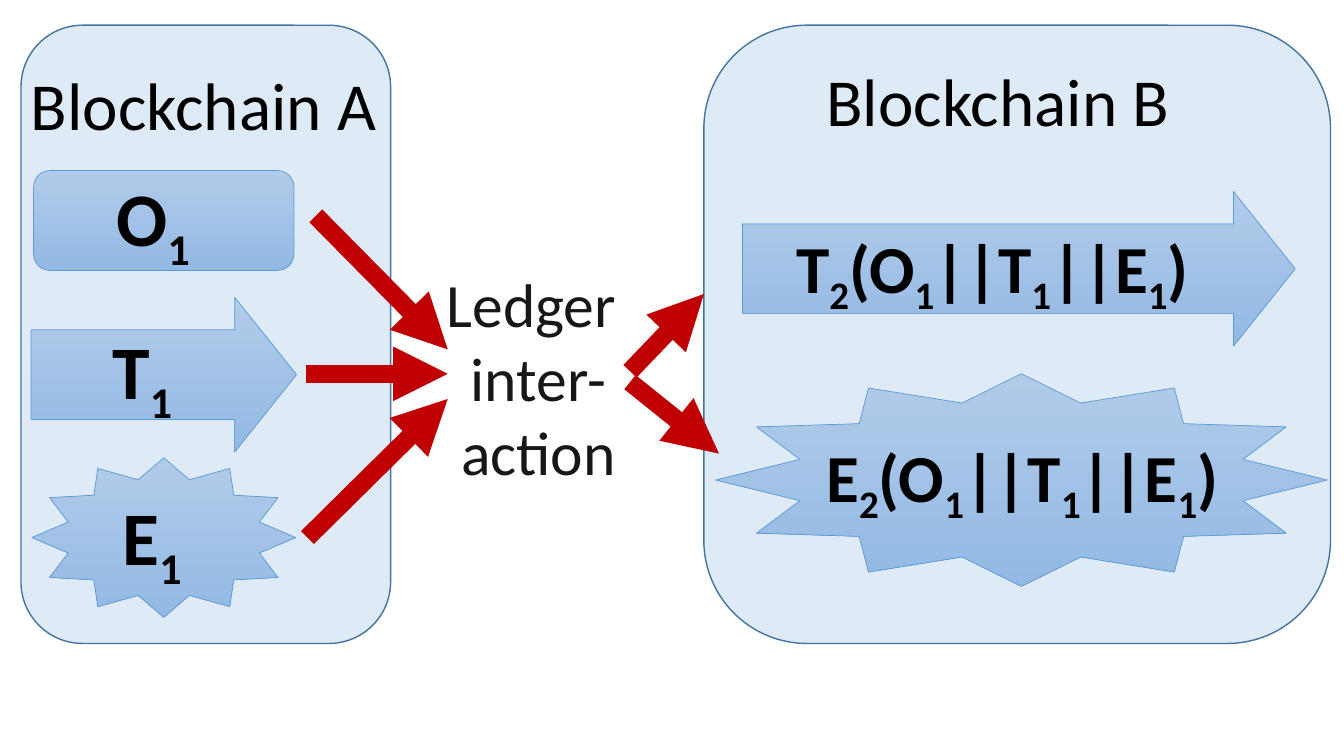
from pptx import Presentation
from pptx import util as u
from pptx.dml.color import RGBColor
from pptx.enum import shapes, text
from pptx.oxml import ns
from lxml import etree

HUES = {"panel": "DEEBF7", "edge": "43739E", "top": "B1CBE9", "base": "93B9E4",
        "rim": "5B9BD5", "flow": "C00000", "ink": "000000", "soft": "181717"}
COLS, ROWS = 160, 90
KIND = shapes.MSO_SHAPE


def hue(name):
    """Return a named colour."""
    return RGBColor.from_string(HUES[name])


class Board:
    """Draws styled elements on one slide, placed in grid columns and rows."""

    def __init__(self, deck):
        """Add a blank slide and size the grid."""
        self.slide = deck.slides.add_slide(deck.slide_layouts[6])
        self.col = deck.slide_width / COLS
        self.row = deck.slide_height / ROWS
        self.font = "Calibri"

    def place(self, *cells):
        """Turn alternating columns and rows into lengths."""
        return [round(c * (self.row if i % 2 else self.col))
                for i, c in enumerate(cells)]

    def shape(self, kind, cells, line, width):
        """Add an outlined shape without a shadow."""
        item = self.slide.shapes.add_shape(kind, *self.place(*cells))
        item.shadow.inherit = False
        item.line.color.rgb = hue(line)
        item.line.width = u.Pt(width)
        return item

    def panel(self, *cells):
        """Add a flat rounded panel."""
        item = self.shape(KIND.ROUNDED_RECTANGLE, cells, "edge", 1)
        item.fill.solid()
        item.fill.fore_color.rgb = hue("panel")

    def block(self, kind, *cells):
        """Add a shape with a vertical gradient."""
        item = self.shape(kind, cells, "rim", 0.5)
        item.fill.gradient()
        item.fill.gradient_angle = 270
        for stop, name in zip(item.fill.gradient_stops, ("top", "base")):
            stop.color.rgb = hue(name)
        if kind == KIND.RIGHT_ARROW:
            item.adjustments[0], item.adjustments[1] = 0.58, 0.4

    def box(self, cells):
        """Add a wrapping text box and return its paragraph."""
        frame = self.slide.shapes.add_textbox(*self.place(*cells)).text_frame
        frame.word_wrap = True
        return frame.paragraphs[0]

    def run(self, para, words, size, color="ink", bold=False):
        """Add one styled run."""
        run = para.add_run()
        run.text = words
        run.font.name, run.font.size = self.font, u.Pt(size)
        run.font.color.rgb, run.font.bold = hue(color), bold
        return run

    def label(self, words, *cells):
        """Add a panel heading."""
        self.run(self.box(cells), words, 48)

    def note(self, lines, *cells):
        """Add centred text with line breaks."""
        para = self.box(cells)
        para.alignment = text.PP_ALIGN.CENTER
        for i, words in enumerate(lines):
            if i:
                para.add_line_break()
            self.run(para, words, 44, "soft")

    def term(self, parts, size, *cells):
        """Add a bold term whose every second part is a subscript."""
        para = self.box(cells)
        for i, words in enumerate(parts):
            run = self.run(para, words, size, bold=True)
            if i % 2:
                run._r.get_or_add_rPr().set("baseline", "-25000")

    def arrow(self, *ends):
        """Add a thick arrow."""
        item = self.slide.shapes.add_connector(
            shapes.MSO_CONNECTOR.STRAIGHT, *self.place(*ends))
        item.line.color.rgb = hue("flow")
        item.line.width = u.Pt(13)
        props = item._element.spPr
        etree.SubElement(props.find(ns.qn("a:ln")), ns.qn("a:tailEnd"), type="triangle")
        etree.SubElement(props, ns.qn("a:effectLst"))


def main():
    """Build and save the slide."""
    deck = Presentation()
    deck.slide_width, deck.slide_height = u.Inches(13.33), u.Inches(7.5)
    board = Board(deck)

    board.panel(2.5, 3, 44, 73.6)
    board.panel(83.8, 3, 74.6, 73.6)
    board.label("Blockchain A", 2.5, 7, 60.6, 10.9)
    board.label("Blockchain B", 97.2, 6.5, 49.4, 10.9)

    board.block(KIND.ROUNDED_RECTANGLE, 4, 20.3, 31, 11.9)
    board.block(KIND.RIGHT_ARROW, 3.7, 35.4, 31.6, 18.4)
    board.block(KIND.STAR_12_POINT, 3.8, 54.5, 31.4, 19)
    board.block(KIND.RIGHT_ARROW, 88.4, 22.8, 65.8, 18.4)
    board.block(KIND.STAR_12_POINT, 85.2, 44.5, 72.8, 25.3)

    for name, x, y in (("O", 12.7, 19.8), ("T", 12.2, 38), ("E", 13.4, 57.7)):
        board.term((name, "1"), 54, x, y, 12.2, 24.2)
    inputs = ("(O", "1", "||T", "1", "||E", "1", ")")
    for name, x, y, wide in (("T", 93.6, 26.3, 69.5), ("E", 97.2, 51.2, 63.8)):
        board.term((name, "2") + inputs, 48, x, y, wide, 23)

    board.note(("Ledger ", "inter-", "action"), 35.3, 31.1, 57.6, 27.8)
    for ends in ((75, 44.2, 83.8, 35), (75, 45.5, 85.6, 54),
                 (37.6, 25.7, 53.3, 41.6), (36.4, 44.5, 53.3, 44.5),
                 (36.6, 64, 53.3, 47.5)):
        board.arrow(*ends)
    deck.save("out.pptx")


if __name__ == "__main__":
    main()
